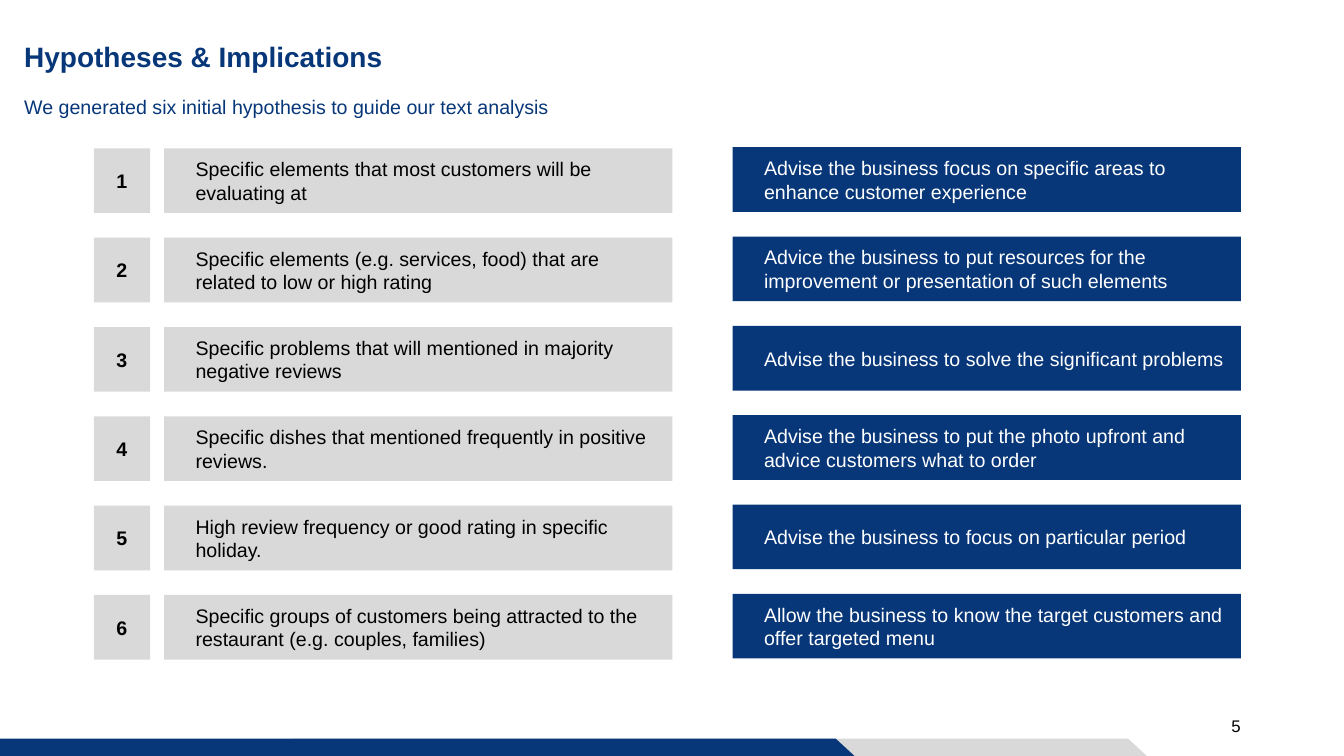
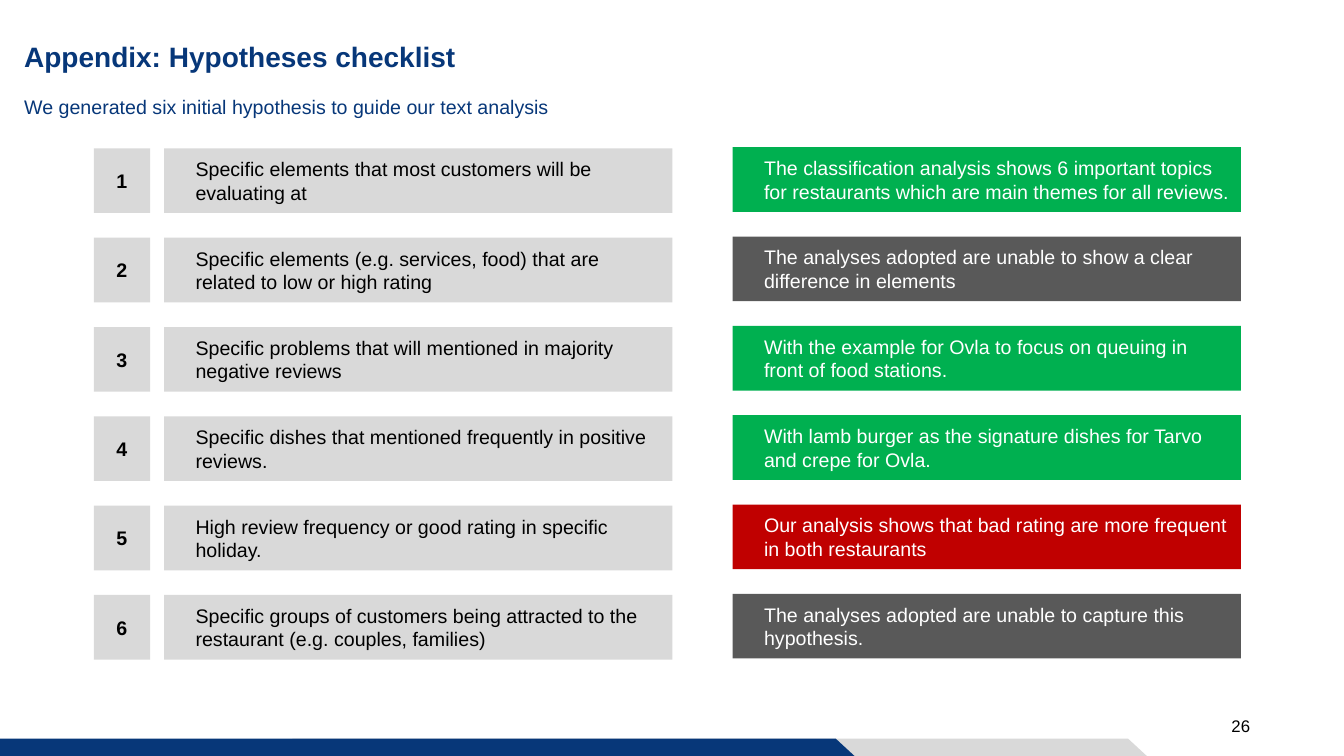
from dataclasses import dataclass

import pptx
import pptx.dml.color
import pptx.enum.shapes
import pptx.enum.text
import pptx.oxml.ns
import pptx.slide
import pptx.text.text
import pptx.util
from lxml import etree

Pt = pptx.util.Pt
RGB = pptx.dml.color.RGBColor.from_string
ALIGN = pptx.enum.text.PP_ALIGN
ANCHOR = pptx.enum.text.MSO_ANCHOR

COLORS = {
    "navy": "073779",
    "light": "D9D9D9",
    "dark": "595959",
    "green": "00B050",
    "red": "C00000",
    "black": "000000",
    "white": "FFFFFF",
}
FONT = "Arial"
SLIDE_W, SLIDE_H = 960, 540

# Row grid, in points
ROW_TOP, ROW_PITCH, ROW_H = 106, 63.8, 46.2
NUMBER_X, NUMBER_W = 67, 40.2
HYPOTHESIS_X, FINDING_X, BOX_W = 117.3, 523.4, 363
FINDING_RISE = 0.8
BOX_INSET = 22.4

# Footer bands
BAND_H, BAND_W, BAND_SLANT = 12.4, 610.4, 13.4
BANDS = ((208.8, "light"), (0, "navy"))

SUBTITLE = "We generated six initial hypothesis to guide our text analysis"
HYPOTHESES = (
    "Specific elements that most customers will be evaluating at",
    "Specific elements (e.g. services, food) that are related to low or high rating",
    "Specific problems that will mentioned in majority negative reviews",
    "Specific dishes that mentioned frequently in positive reviews.",
    "High review frequency or good rating in specific holiday.",
    "Specific groups of customers being attracted to the restaurant (e.g. couples, families)",
)


@dataclass(frozen=True)
class Finding:
    text: str
    fill: str = "navy"


@dataclass(frozen=True)
class Page:
    title: str
    number: int
    findings: tuple[Finding, ...]


PAGES = (
    Page("Hypotheses & Implications", 5, (
        Finding("Advise the business focus on specific areas to enhance customer experience"),
        Finding("Advice the business to put resources for the improvement or presentation of such elements"),
        Finding("Advise the business to solve the significant problems"),
        Finding("Advise the business to put the photo upfront and advice customers what to order"),
        Finding("Advise the business to focus on particular period"),
        Finding("Allow the business to know the target customers and offer targeted menu"),
    )),
    Page("Appendix: Hypotheses checklist", 26, (
        Finding("The classification analysis shows 6 important topics for restaurants "
                "which are main themes for all reviews.", "green"),
        Finding("The analyses adopted are unable to show a clear difference in elements", "dark"),
        Finding("With the example for Ovla to focus on queuing in front of food stations.", "green"),
        Finding("With lamb burger as the signature dishes for Tarvo and crepe for Ovla.", "green"),
        Finding("Our analysis shows that bad rating are more frequent in both restaurants", "red"),
        Finding("The analyses adopted are unable to capture this hypothesis.", "dark"),
    )),
)


def place(sp, x: float, y: float, w: float, h: float) -> None:
    sp.left, sp.top, sp.width, sp.height = Pt(x), Pt(y), Pt(w), Pt(h)


def write(tf: pptx.text.text.TextFrame, text: str, color: str, size: float = 14,
          bold: bool = False, align: ALIGN = ALIGN.LEFT, anchor: ANCHOR = ANCHOR.MIDDLE,
          left: float = 7.2, pad: float = 3.6) -> pptx.text.text._Paragraph:
    tf.word_wrap = True
    tf.auto_size = pptx.enum.text.MSO_AUTO_SIZE.NONE
    tf.vertical_anchor = anchor
    tf.margin_left, tf.margin_right = Pt(left), Pt(7.2)
    tf.margin_top = tf.margin_bottom = Pt(pad)
    p = tf.paragraphs[0]
    p.alignment = align
    r = p.add_run()
    r.text = text
    r.font.name, r.font.size, r.font.bold = FONT, Pt(size), bold
    r.font.color.rgb = RGB(COLORS[color])
    return p


def paint(sp, fill: str) -> None:
    sp.shadow.inherit = False
    sp.fill.solid()
    sp.fill.fore_color.rgb = RGB(COLORS[fill])
    sp.line.fill.background()


def add_box(slide: pptx.slide.Slide, x: float, y: float, w: float, fill: str,
            text: str, color: str, **style) -> None:
    sp = slide.shapes.add_shape(pptx.enum.shapes.MSO_SHAPE.RECTANGLE,
                                Pt(x), Pt(y), Pt(w), Pt(ROW_H))
    paint(sp, fill)
    write(sp.text_frame, text, color, **style)


def add_bands(slide: pptx.slide.Slide) -> None:
    top = SLIDE_H - BAND_H
    for x, fill in BANDS:
        right = x + BAND_W
        outline = ((right - BAND_SLANT, top), (right, SLIDE_H), (x, SLIDE_H))
        builder = slide.shapes.build_freeform(Pt(x), Pt(top))
        builder.add_line_segments([(Pt(px), Pt(py)) for px, py in outline])
        paint(builder.convert_to_shape(), fill)


def add_frame(slide: pptx.slide.Slide, page: Page) -> None:
    add_bands(slide)

    # Title
    title = slide.shapes.title
    place(title, 10, 22.3, 705, 39)
    p = write(title.text_frame, page.title, "navy", size=20, bold=True, pad=7.2)
    p.line_spacing = 0.9

    # Subtitle, without the bullet of the body style
    body = slide.placeholders[1]
    place(body, 10, 61.6, 830, 29.5)
    p = write(body.text_frame, SUBTITLE, "navy")
    p.space_before = Pt(0)
    pPr = p._p.get_or_add_pPr()
    pPr.set("marL", "0")
    pPr.set("indent", "0")
    etree.SubElement(pPr, pptx.oxml.ns.qn("a:buNone"))

    # Page number
    sp = slide.shapes.add_textbox(Pt(872.6), Pt(508), Pt(66), Pt(21.6))
    write(sp.text_frame, str(page.number), "black", size=12, anchor=ANCHOR.TOP)


def add_rows(slide: pptx.slide.Slide, findings: tuple[Finding, ...]) -> None:
    for i, (hypothesis, finding) in enumerate(zip(HYPOTHESES, findings)):
        y = ROW_TOP + i * ROW_PITCH
        add_box(slide, HYPOTHESIS_X, y, BOX_W, "light", hypothesis, "black", left=BOX_INSET)
        add_box(slide, NUMBER_X, y, NUMBER_W, "light", str(i + 1), "black",
                bold=True, align=ALIGN.CENTER)
        add_box(slide, FINDING_X, y - FINDING_RISE, BOX_W, finding.fill,
                finding.text, "white", left=BOX_INSET)


def main() -> None:
    prs = pptx.Presentation()
    prs.slide_width, prs.slide_height = Pt(SLIDE_W), Pt(SLIDE_H)
    for page in PAGES:
        slide = prs.slides.add_slide(prs.slide_layouts[1])
        add_frame(slide, page)
        add_rows(slide, page.findings)
    prs.save("out.pptx")


if __name__ == "__main__":
    main()
